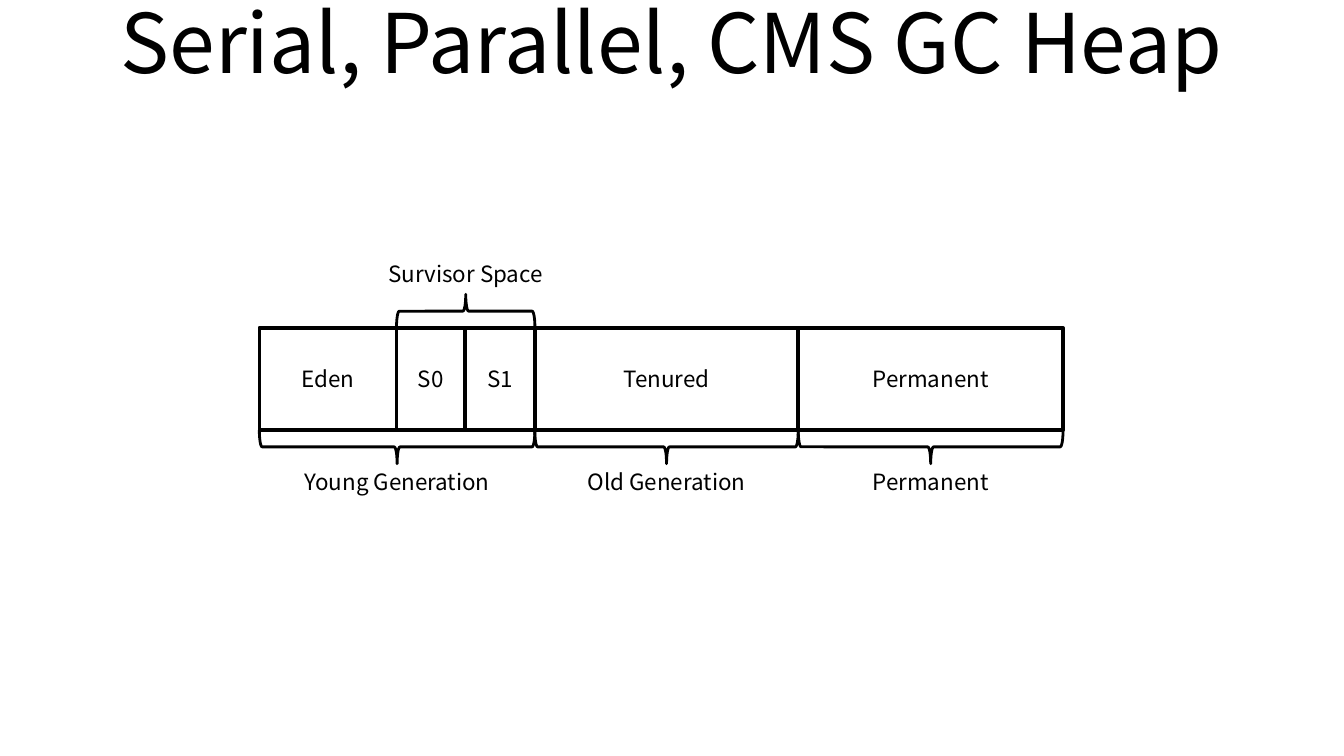
import pptx
import pptx.dml.color
import pptx.enum.shapes
import pptx.enum.text
import pptx.util

Inches = pptx.util.Inches
Shapes = pptx.enum.shapes.MSO_SHAPE


def color(value):
    return pptx.dml.color.RGBColor.from_string(value)


def write(frame, text, size=12, font="Noto Sans CJK KR", ink="000000"):
    frame.word_wrap = True
    frame.vertical_anchor = pptx.enum.text.MSO_ANCHOR.MIDDLE
    paragraph = frame.paragraphs[0]
    paragraph.alignment = pptx.enum.text.PP_ALIGN.CENTER
    run = paragraph.add_run()
    run.text = text
    run.font.size = pptx.util.Pt(size)
    run.font.name = font
    run.font.color.rgb = color(ink)


class HeapDiagram:
    ink = "000000"
    paper = "FFFFFF"
    region_top = 2.44
    region_height = 0.76
    brace_depth = 0.25
    label_width = 1.78
    label_height = 0.45

    def __init__(self, slide):
        self.slide = slide

    def title(self, text):
        box = self.slide.shapes.add_textbox(
            Inches(0.5), Inches(-0.17), Inches(9), Inches(0.94))
        write(box.text_frame, text, size=44, ink=self.ink)

    def shape(self, kind, left, top, width, height, fill=None, line=None):
        shape = self.slide.shapes.add_shape(
            kind, Inches(left), Inches(top), Inches(width), Inches(height))
        shape.shadow.inherit = False
        if fill:
            shape.fill.solid()
            shape.fill.fore_color.rgb = color(fill)
        else:
            shape.fill.background()
        if line:
            shape.line.color.rgb = color(self.ink)
            shape.line.width = pptx.util.Pt(line)
        else:
            shape.line.fill.background()
        return shape

    def region(self, text, start, end):
        region = self.shape(Shapes.ROUNDED_RECTANGLE, start, self.region_top,
                            end - start, self.region_height, self.paper, 2)
        region.adjustments[0] = 0
        write(region.text_frame, text, ink=self.ink)

    def brace(self, start, end, above):
        if above:
            top = self.region_top - self.brace_depth
        else:
            top = self.region_top + self.region_height
        span = end - start
        brace = self.shape(Shapes.LEFT_BRACE,
                           (start + end - self.brace_depth) / 2,
                           top + (self.brace_depth - span) / 2,
                           self.brace_depth, span, line=1.5)
        brace.rotation = 90
        if not above:
            brace._element.spPr.get_or_add_xfrm().set("flipH", "1")

    def label(self, text, center, above):
        top = 1.81 if above else 3.36
        label = self.shape(Shapes.ROUNDED_RECTANGLE,
                           center - self.label_width / 2, top,
                           self.label_width, self.label_height)
        label.adjustments[0] = 0.09
        write(label.text_frame, text, ink=self.ink)


def main():
    deck = pptx.Presentation()
    deck.slide_width = Inches(10)
    deck.slide_height = Inches(10 * 9 / 16)
    diagram = HeapDiagram(deck.slides.add_slide(deck.slide_layouts[6]))
    diagram.title("Serial, Parallel, CMS GC Heap")

    edges = [1.93, 2.95, 3.46, 3.98, 5.94, 7.91]
    regions = ["Eden", "S0", "S1", "Tenured", "Permanent"]
    for name, start, end in zip(regions, edges, edges[1:]):
        diagram.region(name, start, end)

    groups = [("Survisor Space", 1, 3, True), ("Young Generation", 0, 3, False),
              ("Old Generation", 3, 4, False), ("Permanent", 4, 5, False)]
    spans = [(name, edges[first], edges[last], above)
             for name, first, last, above in groups]
    for name, start, end, above in spans:
        diagram.brace(start, end, above)
    for name, start, end, above in spans[1:] + spans[:1]:
        diagram.label(name, (start + end) / 2, above)

    deck.save("out.pptx")


if __name__ == "__main__":
    main()
